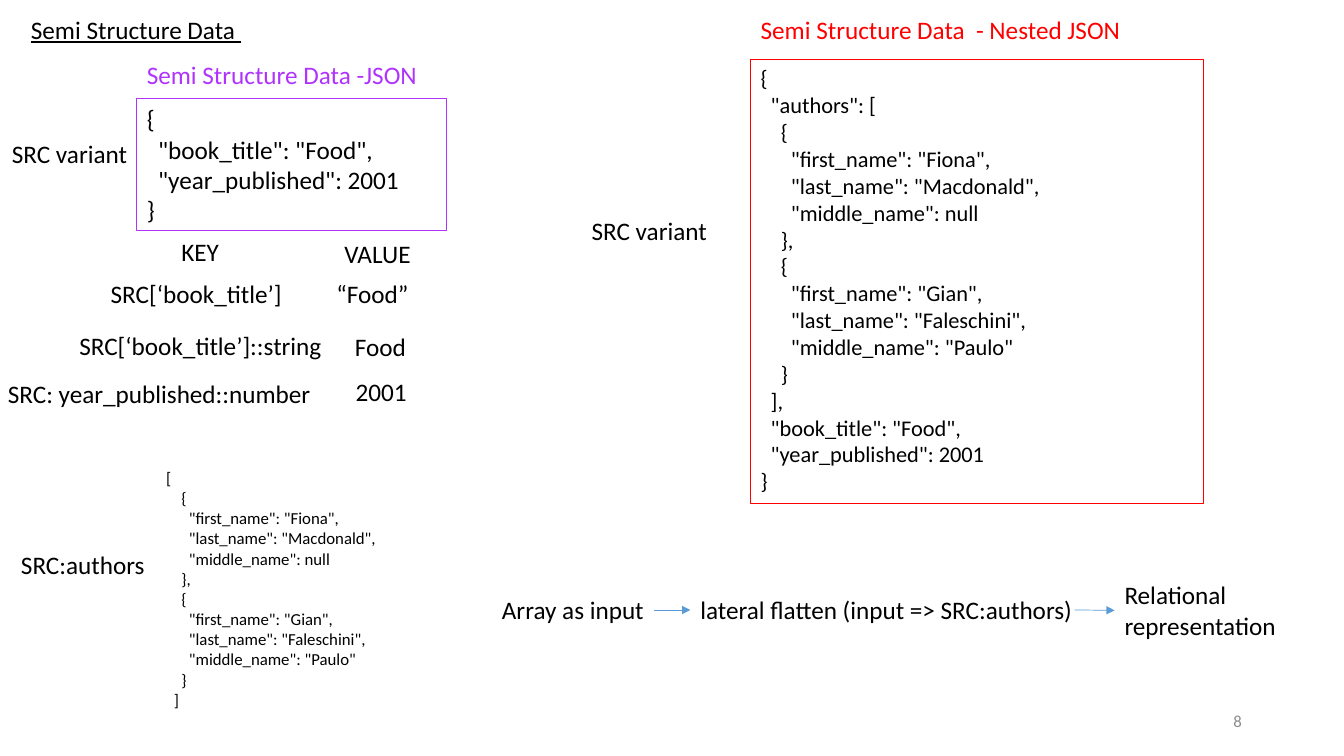
from dataclasses import dataclass

from lxml.etree import SubElement
from pptx import Presentation
from pptx.dml.color import RGBColor
from pptx.enum.shapes import MSO_CONNECTOR, MSO_SHAPE
from pptx.enum.text import MSO_ANCHOR, MSO_AUTO_SIZE, PP_ALIGN
from pptx.oxml.ns import qn
from pptx.util import Cm, Pt


@dataclass(frozen=True)
class Theme:
    font: str = "Calibri"
    text: str = "000000"
    json: str = "B033FD"
    nested: str = "FF0000"
    arrow: str = "5B9BD5"
    muted: str = "8C8C8C"
    body: int = 18
    code: int = 16
    small: int = 12
    indent: float = 0.45  # one code level, as a share of the type size


THEME = Theme()
LINE_HEIGHT = 1.02

# Code listings as (indent level, text)
AUTHOR_LINES = [
    (2, "{"),
    (3, '"first_name": "Fiona",'),
    (3, '"last_name": "Macdonald",'),
    (3, '"middle_name": null'),
    (2, "},"),
    (2, "{"),
    (3, '"first_name": "Gian",'),
    (3, '"last_name": "Faleschini",'),
    (3, '"middle_name": "Paulo"'),
    (2, "}"),
]
BOOK_LINES = [(1, '"book_title": "Food",'), (1, '"year_published": 2001')]
BOOK_JSON = [(0, "{"), *BOOK_LINES, (0, "}")]
NESTED_JSON = [(0, "{"), (1, '"authors": ['), *AUTHOR_LINES, (1, "],"),
               *BOOK_LINES, (0, "}")]
AUTHORS_JSON = [(0, "["), *AUTHOR_LINES, (1, "]")]


class SlideBuilder:
    def __init__(self, slide, theme):
        self.slide = slide
        self.theme = theme

    def style(self, paragraph, size, color):
        font = paragraph.font
        font.name = self.theme.font
        font.size = Pt(size)
        font.color.rgb = RGBColor.from_string(color)

    def label(self, text, left, top, width, height=LINE_HEIGHT, color=None,
              size=None, align=PP_ALIGN.LEFT, underline=None, wrap=True):
        shape = self.slide.shapes.add_textbox(Cm(left), Cm(top), Cm(width), Cm(height))
        frame = shape.text_frame
        frame.word_wrap = wrap
        frame.auto_size = MSO_AUTO_SIZE.SHAPE_TO_FIT_TEXT
        paragraph = frame.paragraphs[0]
        paragraph.text = text
        paragraph.alignment = align
        self.style(paragraph, size or self.theme.body, color or self.theme.text)
        paragraph.font.underline = underline
        return shape

    def code(self, lines, left, top, width, height, size, outline=None):
        shape = self.slide.shapes.add_shape(
            MSO_SHAPE.RECTANGLE, Cm(left), Cm(top), Cm(width), Cm(height))
        shape.shadow.inherit = False
        shape.fill.background()
        if outline:
            shape.line.color.rgb = RGBColor.from_string(outline)
            shape.line.width = Pt(0.75)
        else:
            shape.line.fill.background()
        frame = shape.text_frame
        frame.word_wrap = True
        frame.auto_size = MSO_AUTO_SIZE.SHAPE_TO_FIT_TEXT
        frame.vertical_anchor = MSO_ANCHOR.TOP
        for index, (level, text) in enumerate(lines):
            paragraph = frame.add_paragraph() if index else frame.paragraphs[0]
            paragraph.text = text
            paragraph.alignment = PP_ALIGN.LEFT
            self.style(paragraph, size, self.theme.text)
            margin = Pt(level * size * self.theme.indent)
            paragraph._p.get_or_add_pPr().set("marL", str(int(margin)))

    def arrow(self, start, end, y, target):
        connector = self.slide.shapes.add_connector(
            MSO_CONNECTOR.STRAIGHT, Cm(start), Cm(y), Cm(end), Cm(y))
        connector.end_connect(target, 1)
        connector.line.color.rgb = RGBColor.from_string(self.theme.arrow)
        connector.line.width = Pt(0.5)
        SubElement(connector.line._get_or_add_ln(), qn("a:tailEnd"), type="triangle")
        SubElement(connector._element.spPr, qn("a:effectLst"))


def main():
    presentation = Presentation()
    presentation.slide_width = Cm(33.87)
    presentation.slide_height = Cm(19.05)
    slide = presentation.slides.add_slide(presentation.slide_layouts[6])
    builder = SlideBuilder(slide, THEME)

    # Headings
    builder.label("Semi Structure Data ", 0.53, 0.23, 7.92, underline=True)
    builder.label("Semi Structure Data -JSON", 3.45, 1.37, 7.92, color=THEME.json)
    builder.label("Semi Structure Data  - Nested JSON", 18.92, 0.23, 10.21,
                  color=THEME.nested)

    # JSON listings and their column names
    builder.label("SRC variant", 0.05, 3.35, 3.66)
    builder.code(BOOK_JSON, 3.45, 2.49, 7.8, 3.33, THEME.body, THEME.json)
    builder.label("SRC variant", 14.66, 5.31, 3.66)
    builder.code(NESTED_JSON, 18.92, 1.5, 11.4, 11.2, THEME.code, THEME.nested)
    builder.label("SRC:authors", 0.28, 13.72, 3.66, wrap=False)
    builder.code(AUTHORS_JSON, 3.94, 11.66, 7.47, 6.4, THEME.small)

    # Keys and values
    builder.label("KEY", 4.32, 5.82, 1.6)
    builder.label("VALUE", 8.43, 5.87, 2.18)
    for key, left, top, width in [
        ("SRC[‘book_title’]", 2.54, 6.88, 6.17),
        ("SRC[‘book_title’]::string", 1.75, 8.2, 6.68),
        ("SRC: year_published::number", -0.05, 9.4, 8.18),
    ]:
        builder.label(key, left, top, width)
    for value, left, top, width in [
        ("“Food”", 8.13, 6.88, 2.51),
        ("Food", 8.33, 8.23, 2.51),
        ("2001", 7.7, 9.37, 3.81),
    ]:
        builder.label(value, left, top, width, align=PP_ALIGN.CENTER)

    # Flatten flow
    builder.label("Array as input", 12.4, 14.86, 4.52)
    flatten = builder.label("lateral flatten (input => SRC:authors)",
                            17.4, 14.86, 10.97)
    relational = builder.label("Relational representation", 28.09, 14.48, 4.52, 1.8)
    builder.arrow(16.48, 17.4, 15.37, flatten)
    builder.arrow(27.08, 28.09, 15.37, relational)

    # Slide number
    number = builder.label("8", 23.93, 17.65, 7.62, color=THEME.muted,
                           size=THEME.small, align=PP_ALIGN.RIGHT)
    number.text_frame.auto_size = MSO_AUTO_SIZE.NONE
    number.text_frame.vertical_anchor = MSO_ANCHOR.MIDDLE

    presentation.save("out.pptx")


if __name__ == "__main__":
    main()
